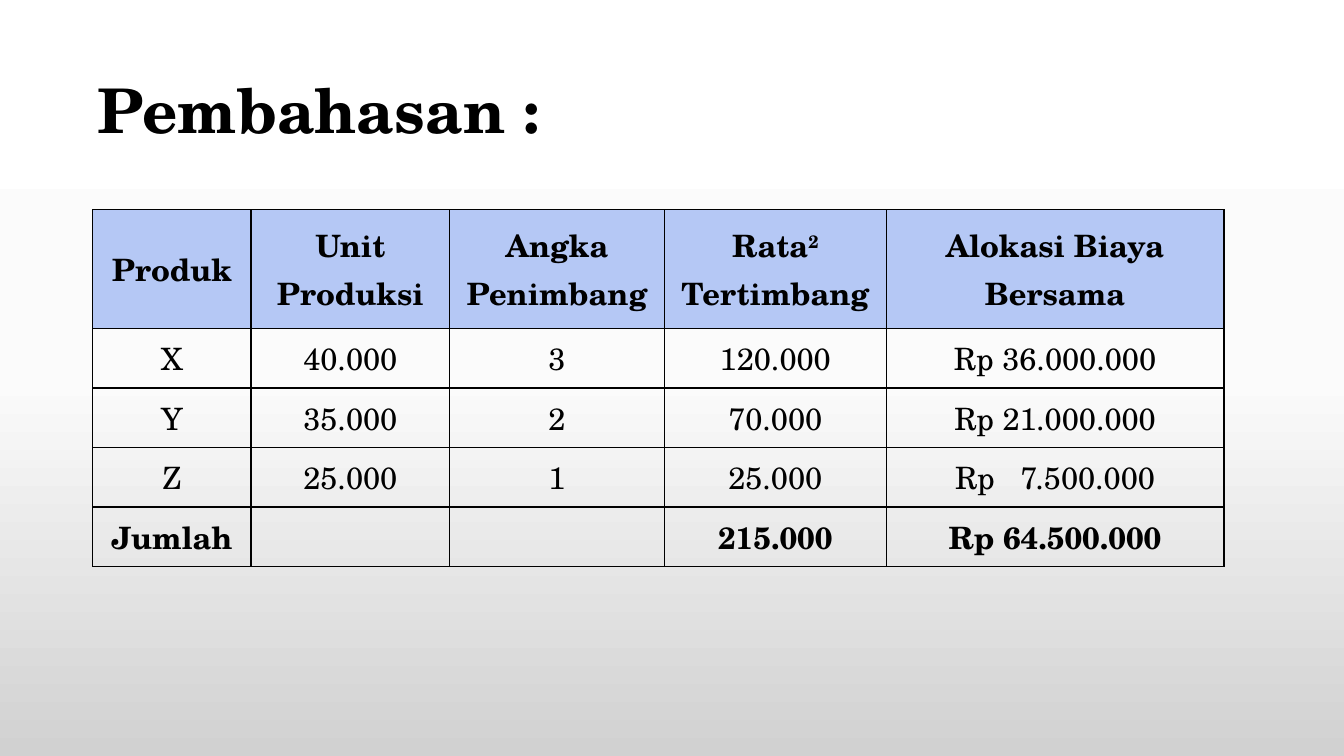
from lxml import etree
from pptx import Presentation
from pptx.dml.color import RGBColor
from pptx.enum.text import MSO_ANCHOR, PP_ALIGN
from pptx.oxml import parse_xml
from pptx.oxml.ns import nsdecls, qn
from pptx.util import Inches, Pt

MIDDLE = MSO_ANCHOR.MIDDLE
CENTER = PP_ALIGN.CENTER

FONT = "TeX Gyre Schola"
BLACK = "000000"
HEADER_FILL = "B5C8F5"
BACKGROUND_STOPS = [(0, "FFFFFF"), (50, "FBFBFB"), (100, "D1D1D1")]

TITLE = "Pembahasan :"
SUPERSCRIPT = "2 "
WIDE_GAP = 12.2  # points added after "Rp" to line up the shorter amount
HEADERS = ["Produk", "Unit Produksi", "Angka Penimbang",
           ("Rata", SUPERSCRIPT, "Tertimbang"), "Alokasi Biaya Bersama"]
PRODUCTS = [
    ["X", "40.000", "3", "120.000", "Rp 36.000.000"],
    ["Y", "35.000", "2", "70.000", "Rp 21.000.000"],
    ["Z", "25.000", "1", "25.000", ("Rp", " ", "7.500.000")],
]
TOTALS = ["Jumlah", "", "", "215.000", "Rp 64.500.000"]
COLUMN_WIDTHS = [1.57, 1.97, 2.13, 2.2, 3.35]
ROW_HEIGHT = 0.59


def color(hex_code):
    return RGBColor.from_string(hex_code)


def style(paragraph, size, bold):
    font = paragraph.font
    font.name, font.size, font.bold = FONT, Pt(size), bold
    font.color.rgb = color(BLACK)


def paint_background(slide):
    """Fill the slide with a three-stop gradient from top to bottom."""
    slide.background.fill.gradient()
    slide.background.fill.gradient_angle = 270
    stop_list = slide._element.find(".//" + qn("a:gsLst"))
    for stop in list(stop_list):
        stop_list.remove(stop)
    for percent, hex_code in BACKGROUND_STOPS:
        stop = etree.SubElement(stop_list, qn("a:gs"), pos=str(percent * 1000))
        etree.SubElement(stop, qn("a:srgbClr"), val=hex_code)


def add_borders(cell):
    for side in ("lnL", "lnR", "lnT", "lnB"):
        cell._tc.get_or_add_tcPr().append(parse_xml(
            f'<a:{side} {nsdecls("a")} w="{Pt(1)}"><a:solidFill>'
            f'<a:srgbClr val="{BLACK}"/></a:solidFill></a:{side}>'))


def fill_cell(cell, content, header, bold):
    add_borders(cell)
    if header:
        cell.fill.solid()
        cell.fill.fore_color.rgb = color(HEADER_FILL)
    else:
        cell.fill.background()
    cell.vertical_anchor = MIDDLE
    paragraph = cell.text_frame.paragraphs[0]
    paragraph.alignment = CENTER
    style(paragraph, 22, bold)
    for part in [content] if isinstance(content, str) else content:
        if not part:
            continue
        run = paragraph.add_run()
        run.text = part
        if part == SUPERSCRIPT:
            run.font._element.set("baseline", "30000")
        elif part == " ":
            run.font._element.set("spc", str(round(WIDE_GAP * 100)))


def add_title(slide):
    box = slide.shapes.add_textbox(Inches(0.87), Inches(0.4), Inches(11.5), Inches(1.45))
    frame = box.text_frame
    frame.word_wrap = True
    frame.vertical_anchor = MIDDLE
    heading = frame.paragraphs[0]
    heading.text = TITLE
    heading.line_spacing = 0.9
    style(heading, 44, True)


def add_allocation_table(slide):
    rows = [HEADERS, *PRODUCTS, TOTALS]
    table = slide.shapes.add_table(
        len(rows), len(HEADERS), Inches(0.92), Inches(2.08),
        Inches(sum(COLUMN_WIDTHS)), Inches(ROW_HEIGHT * (len(rows) + 1))).table
    table.horz_banding = False
    for column, width in zip(table.columns, COLUMN_WIDTHS):
        column.width = Inches(width)
    for r, row in enumerate(rows):
        header = row is HEADERS
        table.rows[r].height = Inches(ROW_HEIGHT * (2 if header else 1))
        for c, content in enumerate(row):
            fill_cell(table.cell(r, c), content, header, header or row is TOTALS)


def main():
    presentation = Presentation()
    presentation.slide_width = Inches(13.33)
    presentation.slide_height = Inches(7.5)
    slide = presentation.slides.add_slide(presentation.slide_layouts[6])
    paint_background(slide)
    add_title(slide)
    add_allocation_table(slide)
    presentation.save("out.pptx")


if __name__ == "__main__":
    main()
